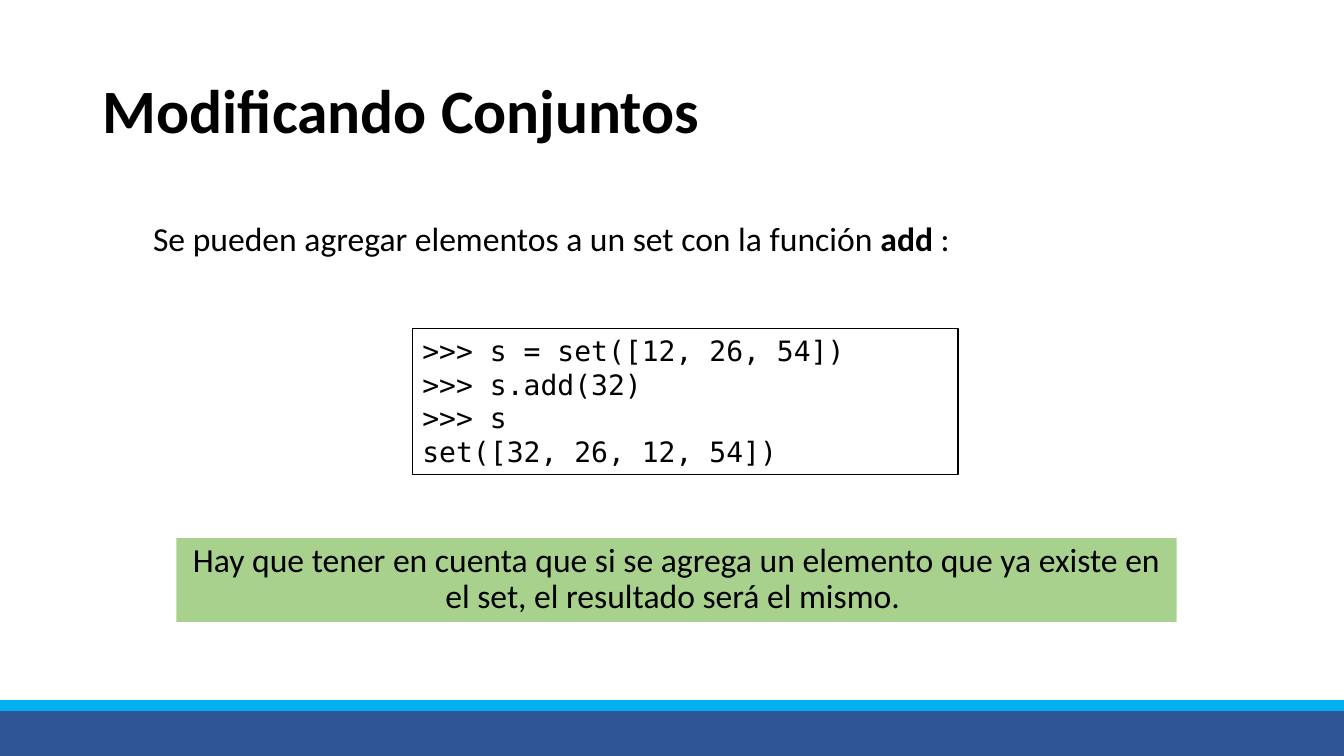
import pptx
import pptx.util
import pptx.dml.color
import pptx.enum.shapes
import pptx.enum.text

Inches = pptx.util.Inches
Pt = pptx.util.Pt
ALIGN = pptx.enum.text.PP_ALIGN
ANCHOR = pptx.enum.text.MSO_ANCHOR

CODE = [
    ">>> s = set([12, 26, 54])",
    ">>> s.add(32)",
    ">>> s",
    "set([32, 26, 12, 54])",
]


def rgb(color):
    """Return the colour for a hex string."""
    return pptx.dml.color.RGBColor.from_string(color)


def place(sp, left, top, width, height):
    """Position a shape, in inches."""
    sp.left, sp.top = Inches(left), Inches(top)
    sp.width, sp.height = Inches(width), Inches(height)


def write(sp, paragraphs, size, font="Calibri", align=ALIGN.LEFT, anchor=ANCHOR.TOP, spacing=1.0):
    """Fill a shape with paragraphs given as lists of (text, bold) runs."""
    tf = sp.text_frame
    tf.word_wrap = True
    tf.auto_size = pptx.enum.text.MSO_AUTO_SIZE.NONE
    tf.vertical_anchor = anchor
    for i, runs in enumerate(paragraphs):
        p = tf.add_paragraph() if i else tf.paragraphs[0]
        p.alignment = align
        p.line_spacing = spacing
        for text, bold in runs:
            r = p.add_run()
            r.text = text
            r.font.name = font
            r.font.size = Pt(size)
            r.font.bold = bold
            r.font.color.rgb = rgb("000000")


def add_box(s, left, top, width, height, fill, line=None):
    """Add a flat rectangle, outlined when a line colour is given."""
    sp = s.shapes.add_shape(
        pptx.enum.shapes.MSO_SHAPE.RECTANGLE,
        Inches(left), Inches(top), Inches(width), Inches(height))
    sp.shadow.inherit = False
    sp.fill.solid()
    sp.fill.fore_color.rgb = rgb(fill)
    if line:
        sp.line.color.rgb = rgb(line)
        sp.line.width = Pt(1)
    else:
        sp.line.fill.background()
    return sp


def main():
    """Build the slide and save it."""
    prs = pptx.Presentation()
    prs.slide_width, prs.slide_height = Inches(13.33), Inches(7.5)
    s = prs.slides.add_slide(prs.slide_layouts[5])

    add_box(s, 0, 7.03, 13.33, 0.47, "2F5597", "325491")
    add_box(s, 0, 6.95, 13.33, 0.1, "00B0F0", "00B0F0")

    title = s.shapes.title
    place(title, 0.92, 0.4, 11.5, 1.45)
    write(title, [[("Modificando Conjuntos", True)]], 44, anchor=ANCHOR.MIDDLE, spacing=0.9)

    intro = s.shapes.add_textbox(Inches(1.42), Inches(2.11), Inches(10.26), Inches(0.5))
    write(intro, [[("Se pueden agregar elementos a un set con la función ", False),
                   ("add ", True), (":", False)]], 24)

    code = add_box(s, 4.09, 3.26, 5.41, 1.45, "FFFFFF", "000000")
    write(code, [[(line, False)] for line in CODE], 20, font="DejaVu Sans Mono")

    note = add_box(s, 1.75, 5.34, 9.92, 0.83, "A9D18E")
    write(note, [[("Hay que tener en cuenta que si se agrega un elemento que ya existe en "
                   "el set, el resultado será el mismo. ", False)]],
          24, align=ALIGN.CENTER, spacing=0.9)

    prs.save("out.pptx")


if __name__ == "__main__":
    main()
